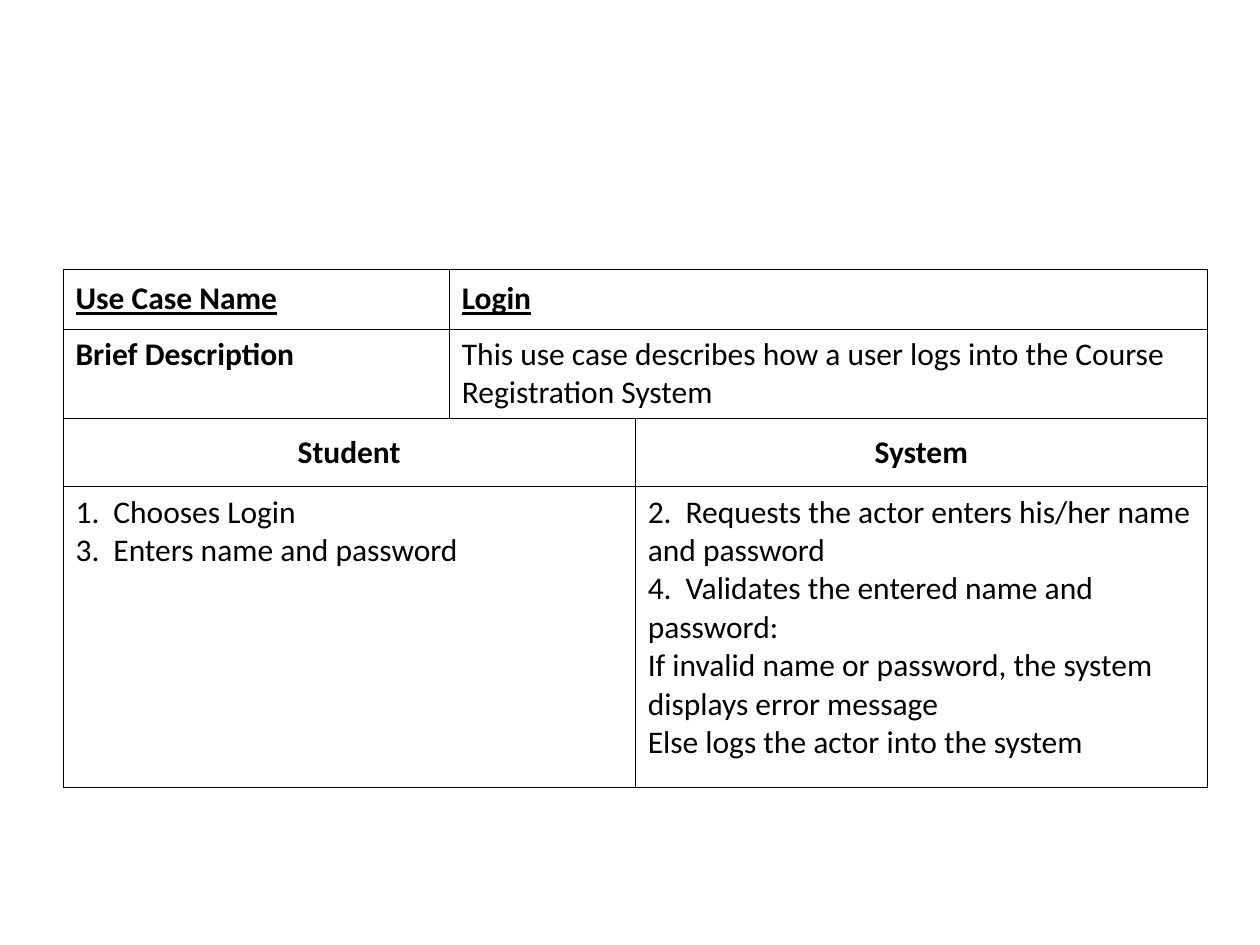
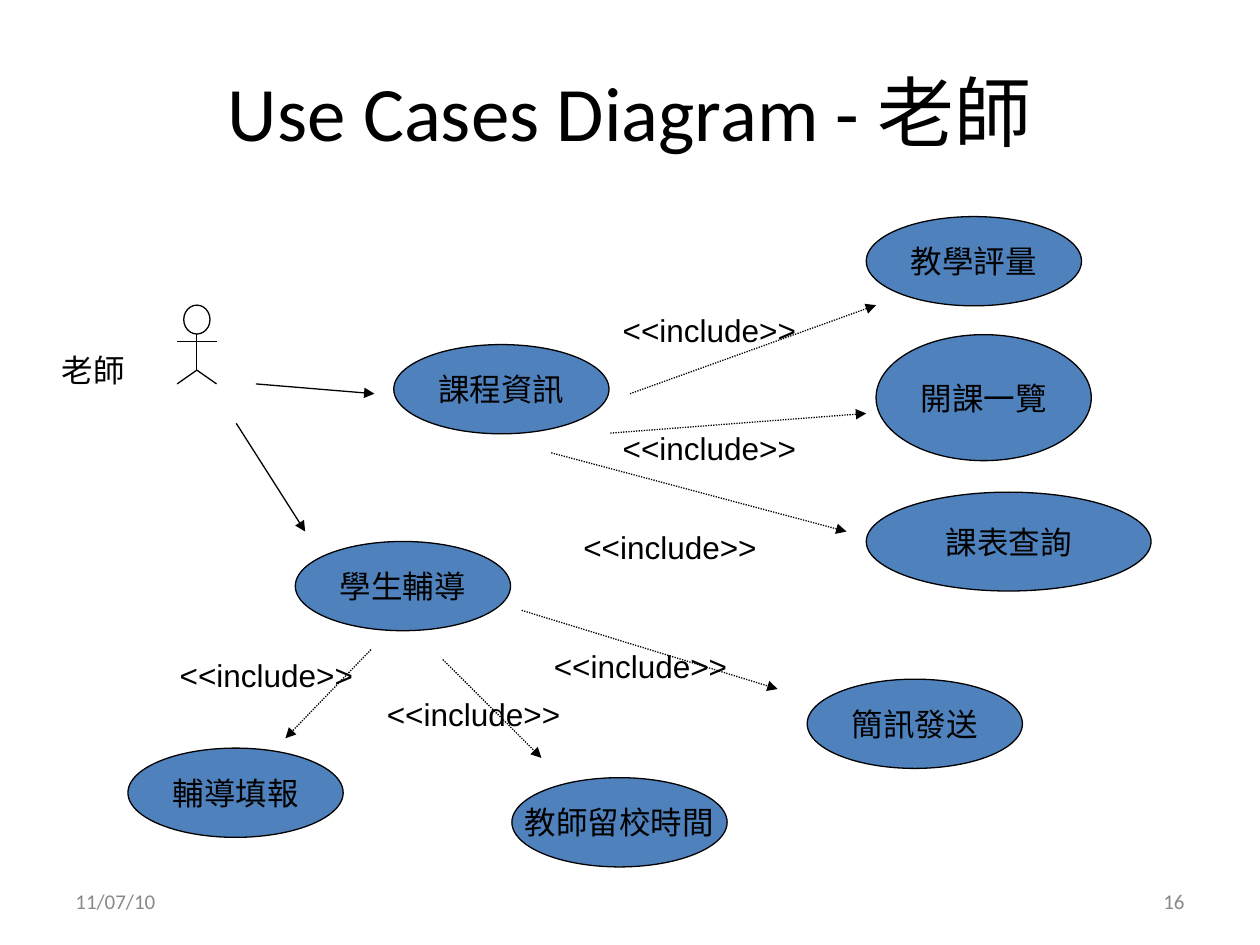
from lxml import etree
from pptx import Presentation
from pptx.dml.color import RGBColor
from pptx.enum.dml import MSO_LINE
from pptx.enum.shapes import MSO_CONNECTOR, MSO_SHAPE
from pptx.enum.text import MSO_ANCHOR as ANCHOR, MSO_AUTO_SIZE, PP_ALIGN as ALIGN
from pptx.oxml.ns import qn
from pptx.util import Pt

COLORS = {"ink": "000000", "paper": "FFFFFF", "case": "4F81BD", "footer": "898989"}
RGB = {name: RGBColor.from_string(value) for name, value in COLORS.items()}
HEAD_FONT, LABEL_FONT = "Calibri", "Arial"
BODY_SIZE = 18
LINE_WIDTH, BORDER_WIDTH = 0.75, 0.45
NUMBER_TAB = 21.6


def write(tf, text, font, size=BODY_SIZE, color="ink", align=ALIGN.LEFT,
          anchor=ANCHOR.TOP, bold=False, underline=None):
    tf.text = text
    tf.vertical_anchor = anchor
    for p in tf.paragraphs:
        p.alignment = align
        for r in p.runs:
            r.font.name, r.font.size = font, Pt(size)
            r.font.color.rgb = RGB[color]
            r.font.bold, r.font.underline = bold, underline


def add_line(shapes, start, end, arrow=False, dash=None):
    line = shapes.add_connector(MSO_CONNECTOR.STRAIGHT, *map(Pt, start + end))
    line.line.color.rgb = RGB["ink"]
    line.line.width = Pt(LINE_WIDTH)
    line.line.dash_style = dash
    if arrow:
        etree.SubElement(line.line._get_or_add_ln(), qn("a:tailEnd"), type="triangle")
    etree.SubElement(line._element.spPr, qn("a:effectLst"))


prs = Presentation()
prs.slide_width, prs.slide_height = Pt(720), Pt(540)
blank = prs.slide_layouts[6]

# Slide 1: use case description
s = prs.slides.add_slide(blank)
col_widths = [220.75, 106.25, 327]
row_heights = [34.25, 50.75, 39, 172]
table = s.shapes.add_table(4, 3, Pt(36), Pt(153.75), Pt(sum(col_widths)),
                           Pt(sum(row_heights))).table
for col, width in zip(table.columns, col_widths):
    col.width = Pt(width)
for row, height in zip(table.rows, row_heights):
    row.height = Pt(height)

for row in range(4):
    first = 1 if row < 2 else 0
    table.cell(row, first).merge(table.cell(row, first + 1))

for cell in table.iter_cells():
    cell.fill.solid()
    cell.fill.fore_color.rgb = RGB["paper"]
    tc_pr = cell._tc.get_or_add_tcPr()
    for i, side in enumerate(("lnL", "lnR", "lnT", "lnB")):
        border = etree.Element(qn(f"a:{side}"), w=str(Pt(BORDER_WIDTH)))
        fill = etree.SubElement(border, qn("a:solidFill"))
        etree.SubElement(fill, qn("a:srgbClr"), val=COLORS["ink"])
        tc_pr.insert(i, border)

name_style = dict(bold=True, underline=True, anchor=ANCHOR.MIDDLE)
actor_style = dict(bold=True, align=ALIGN.CENTER, anchor=ANCHOR.MIDDLE)
student_steps = "1.\tChooses Login\n3.\tEnters name and password"
system_steps = "\n".join([
    "2.\tRequests the actor enters his/her name and password",
    "4.\tValidates the entered name and password:",
    "If invalid name or password, the system displays error message",
    "Else logs the actor into the system",
])
cells = [
    (0, 0, "Use Case Name", name_style),
    (0, 1, "Login", name_style),
    (1, 0, "Brief Description", dict(bold=True)),
    (1, 1, "This use case describes how a user logs into the Course Registration System", {}),
    (2, 0, "Student", actor_style),
    (2, 2, "System", actor_style),
    (3, 0, student_steps, {}),
    (3, 2, system_steps, {}),
]
for row, col, text, style in cells:
    cell = table.cell(row, col)
    write(cell.text_frame, text, HEAD_FONT, **style)
    cell.vertical_anchor = style.get("anchor", ANCHOR.TOP)
    for p in cell.text_frame.paragraphs:
        if "\t" in p.text:
            tabs = etree.SubElement(p._p.get_or_add_pPr(), qn("a:tabLst"))
            etree.SubElement(tabs, qn("a:tab"), pos=str(Pt(NUMBER_TAB)), algn="l")

# Slide 2: use cases of the teacher
s = prs.slides.add_slide(blank)
BOTTOM_INSET, TITLE_INSET = 3.6, 10.4
frame_texts = [
    ("11/07/10", 36, 500.5, 168, 28.8, BOTTOM_INSET, 12, "footer", ALIGN.LEFT),
    ("16", 516, 500.5, 168, 28.8, BOTTOM_INSET, 12, "footer", ALIGN.RIGHT),
    ("Use Cases Diagram - 老師", 36, 21.6, 648, 90, TITLE_INSET, 44, "ink", ALIGN.CENTER),
]
for text, x, y, w, h, inset, size, color, align in frame_texts:
    tf = s.shapes.add_textbox(Pt(x), Pt(y), Pt(w), Pt(h)).text_frame
    tf.word_wrap = True
    tf.margin_bottom = Pt(inset)
    write(tf, text, HEAD_FONT, size, color, align, ANCHOR.MIDDLE)

CASE_W, CASE_H = 123, 51
use_cases = [
    ("課程資訊", 225, 196.9, CASE_W, CASE_H),
    ("課表查詢", 495, 281.25, 162.75, 56.5),
    ("教學評量", 495, 123.75, CASE_W, CASE_H),
    ("開課一覽", 500.6, 191.25, CASE_W, 72),
    ("學生輔導", 168.75, 309.4, CASE_W, CASE_H),
    ("輔導填報", 73.1, 427.5, CASE_W, CASE_H),
    ("教師留校時間", 292.5, 444.4, CASE_W, CASE_H),
    ("簡訊發送", 461.25, 388.1, CASE_W, CASE_H),
]
for text, x, y, w, h in use_cases:
    sp = s.shapes.add_shape(MSO_SHAPE.OVAL, Pt(x), Pt(y), Pt(w), Pt(h))
    sp.shadow.inherit = False
    sp.fill.solid()
    sp.fill.fore_color.rgb = RGB["case"]
    sp.line.color.rgb = RGB["ink"]
    sp.line.width = Pt(LINE_WIDTH)
    sp.text_frame.word_wrap = False
    write(sp.text_frame, text, LABEL_FONT, align=ALIGN.CENTER, anchor=ANCHOR.MIDDLE)

actor_arrows = [
    ((146.25, 219.4), (214, 225)),
    ((135, 241.9), (174.4, 303.75)),
]
include_arrows = [
    ((315, 258.75), (483.75, 303.75)),
    ((348.75, 247.5), (495, 236.25)),
    ((360, 225), (500.6, 174.4)),
    ((298.1, 348.75), (444.4, 393.75)),
    ((253.1, 376.9), (309.4, 433.1)),
    ((212, 371.25), (163.1, 421.9)),
]
for arrows, dash in ((actor_arrows, None), (include_arrows, MSO_LINE.ROUND_DOT)):
    for start, end in arrows:
        add_line(s.shapes, start, end, arrow=True, dash=dash)

INCLUDE, INCLUDE_W = "<<include>>", 115
include_spots = [(348.75, 174.4), (326.25, 298.1), (348.75, 241.9),
                 (309.4, 366), (214, 393.75), (95.6, 371.25)]
labels = [("老師", 28.1, 196.9, 50.4)]
labels += [(INCLUDE, x, y, INCLUDE_W) for x, y in include_spots]
for text, x, y, w in labels:
    tf = s.shapes.add_textbox(Pt(x), Pt(y), Pt(w), Pt(28.8)).text_frame
    tf.word_wrap = False
    tf.auto_size = MSO_AUTO_SIZE.SHAPE_TO_FIT_TEXT
    write(tf, text, LABEL_FONT)

# Stick figure of the teacher
actor = s.shapes.add_group_shape().shapes
head = actor.add_shape(MSO_SHAPE.OVAL, Pt(105), Pt(174.4), Pt(15), Pt(16.5))
head.shadow.inherit = False
head.fill.solid()
head.fill.fore_color.rgb = RGB["paper"]
head.line.color.rgb = RGB["ink"]
head.line.width = Pt(LINE_WIDTH)
neck, hip = (112.5, 190.9), (112.5, 211.5)
limbs = [
    ((101.25, 195), (123.75, 195)),
    (neck, hip),
    (hip, (101.25, 219.4)),
    (hip, (123.75, 219.4)),
]
for start, end in limbs:
    add_line(actor, start, end)

prs.save("out.pptx")
